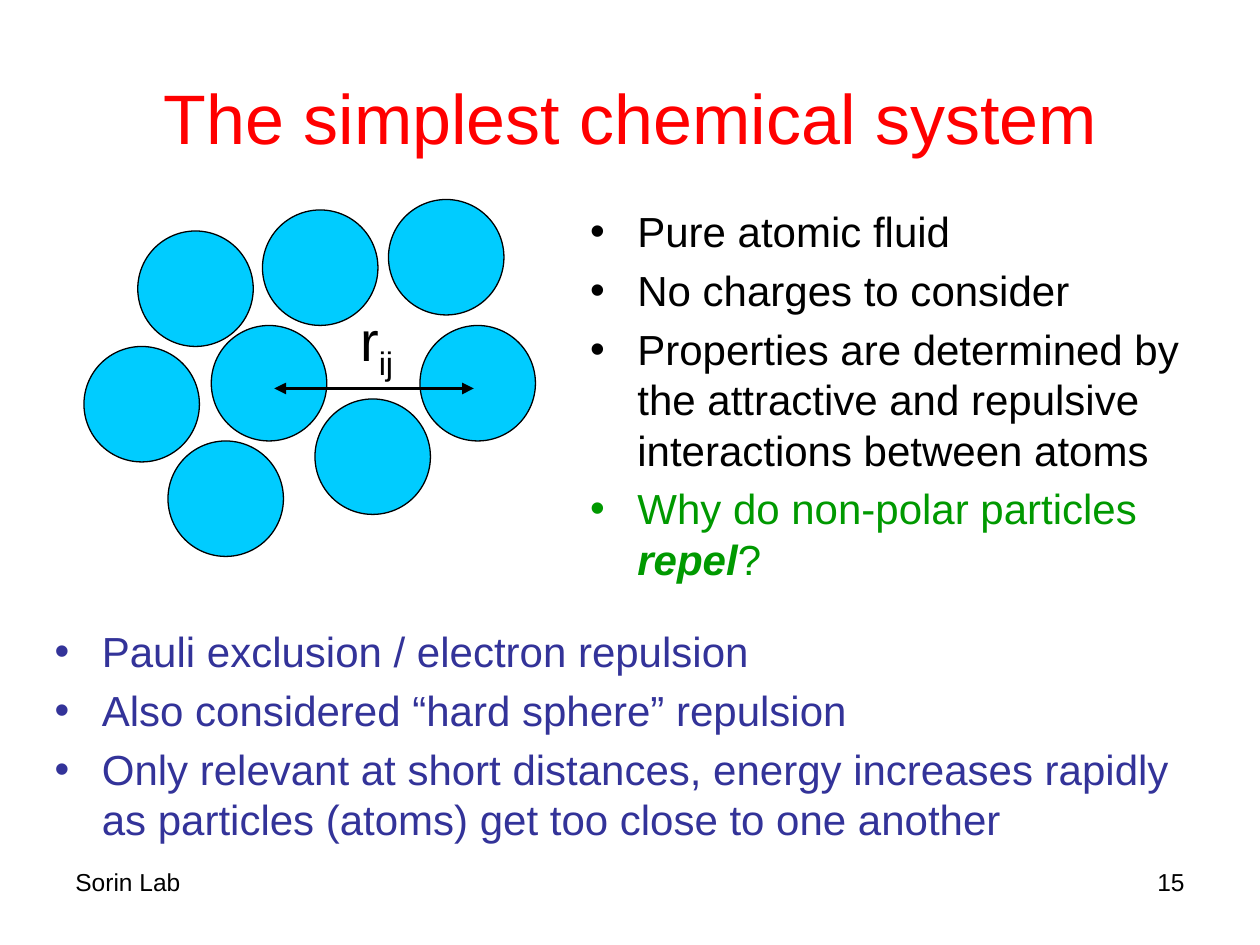
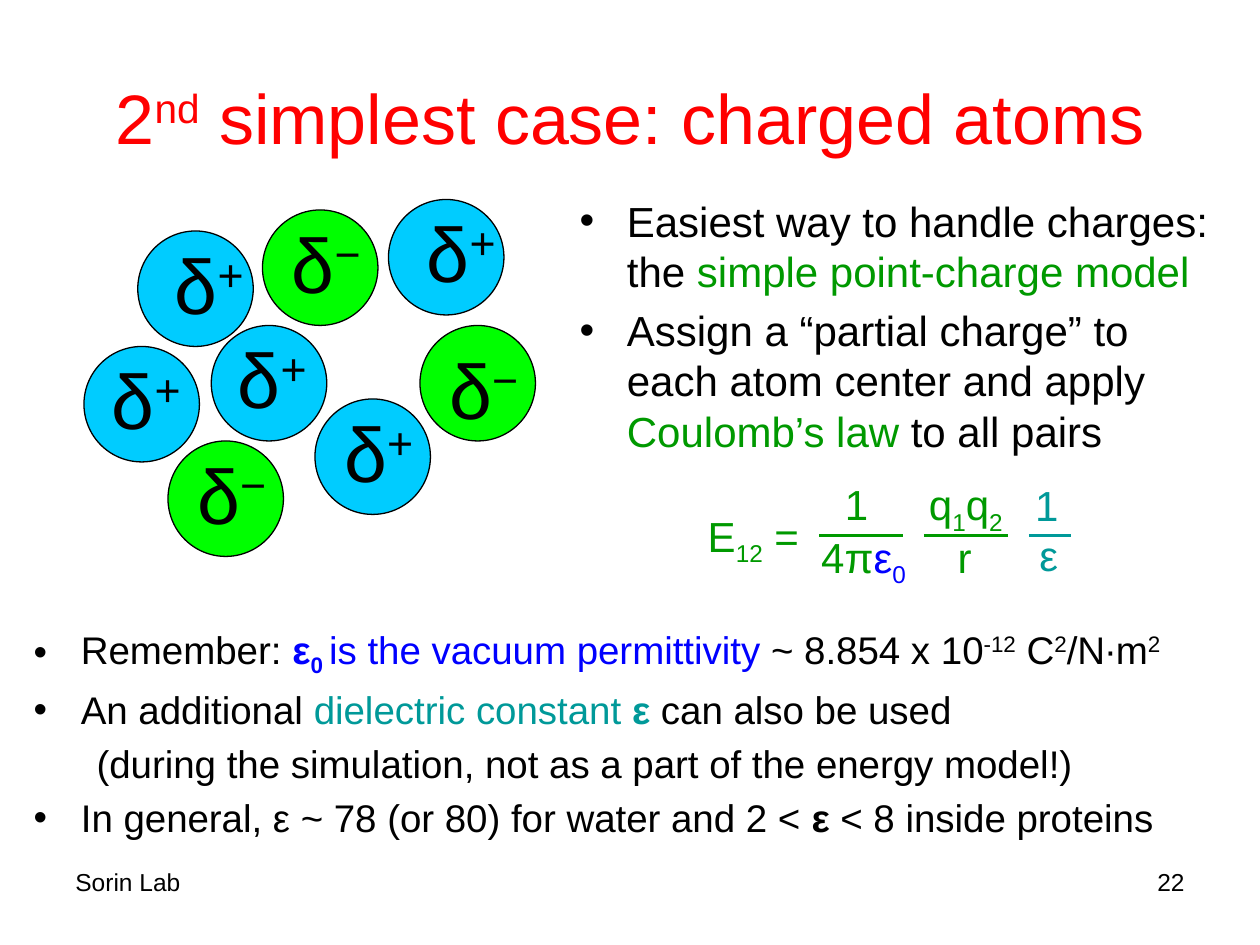
from dataclasses import dataclass

from lxml import etree
from pptx import Presentation
from pptx import util as u
from pptx.dml.color import RGBColor
from pptx.enum import shapes, text
from pptx.oxml import ns

PX = 9525
FONT = "Arial"

BLACK = RGBColor(0x00, 0x00, 0x00)
RED = RGBColor(0xFF, 0x00, 0x00)
GREEN = RGBColor(0x00, 0x99, 0x00)
BLUE = RGBColor(0x00, 0x00, 0xFF)
TEAL = RGBColor(0x00, 0x99, 0x99)
INDIGO = RGBColor(0x33, 0x33, 0x99)
POSITIVE = RGBColor(0x00, 0xCC, 0xFF)
NEGATIVE = RGBColor(0x00, 0xFF, 0x00)

SUB, SUPER = -25, 30
LEFT, CENTER, RIGHT = text.PP_ALIGN.LEFT, text.PP_ALIGN.CENTER, text.PP_ALIGN.RIGHT

ATOM_SIZE = 88
ATOM_BOX = (64, 152)
ATOMS = [
    (97, 96, "+", 7, 0),
    (256, 96, "−", 9, 8),
    (41, 24, "+", 15, 0),
    (0, 112, "+", 8, 0),
    (176, 152, "+", 9, 0),
    (136, 8, "−", 9, 0),
    (64, 184, "−", 9, 0),
    (232, 0, "+", 16, 0),
]


@dataclass
class Span:
    words: str
    color: RGBColor = BLACK
    base: int = 0
    bold: bool = False
    italic: bool = False


def emu(*lengths):
    return [u.Emu(length * PX) for length in lengths]


def write(para, spans, size, align=LEFT):
    para.alignment = align
    for part in spans:
        span = para.add_run()
        span.text = part.words
        span.font.name = FONT
        span.font.size = u.Pt(size)
        span.font.color.rgb = part.color
        span.font.bold = part.bold
        span.font.italic = part.italic
        if part.base:
            span.font._element.set("baseline", str(part.base * 1000))


def add_label(page, box, spans, size, align=CENTER, wrap=False):
    label = page.shapes.add_textbox(*emu(*box))
    frame = label.text_frame
    frame.word_wrap = wrap
    frame.auto_size = text.MSO_AUTO_SIZE.NONE if wrap else text.MSO_AUTO_SIZE.SHAPE_TO_FIT_TEXT
    write(frame.paragraphs[0], spans, size, align)


def add_line(page, left, right, y, color, width, arrows=False):
    line = page.shapes.add_connector(shapes.MSO_CONNECTOR.STRAIGHT, *emu(left, y, right, y))
    line.line.color.rgb = color
    line.line.width = u.Pt(width)
    if arrows:
        outline = line.line._get_or_add_ln()
        for end in ("a:headEnd", "a:tailEnd"):
            etree.SubElement(outline, ns.qn(end), type="triangle")
    etree.SubElement(line._element.spPr, ns.qn("a:effectLst"))


def place(holder, box):
    holder.left, holder.top, holder.width, holder.height = emu(*box)
    holder.text_frame.word_wrap = True
    holder.text_frame.auto_size = text.MSO_AUTO_SIZE.NONE


def add_page(deck, title, number):
    page = deck.slides.add_slide(deck.slide_layouts.get_by_name("Two Content"))
    heading = page.shapes.title
    place(heading, (48, 29, 864, 120))
    heading.text_frame.vertical_anchor = text.MSO_ANCHOR.MIDDLE
    write(heading.text_frame.paragraphs[0], title, 40, CENTER)
    for left, words, align in ((48, "Sorin Lab", LEFT), (688, number, RIGHT)):
        add_label(page, (left, 656, 224, 50), [Span(words)], 14, align, wrap=True)
    return page


def fill_list(holder, box, items, size, unmarked=()):
    place(holder, box)
    frame = holder.text_frame
    frame.vertical_anchor = text.MSO_ANCHOR.TOP
    for index, spans in enumerate(items):
        para = frame.add_paragraph() if index else frame.paragraphs[0]
        if index in unmarked:
            para.level = 1
            props = para._p.get_or_add_pPr()
            props.set("marL", str(48 * PX))
            props.set("indent", "0")
            etree.SubElement(props, ns.qn("a:buNone"))
        if index:
            para.space_before = u.Pt(size / 5)
        else:
            para.space_before = u.Pt(0)
        write(para, spans, size)


def draw_atoms(page, box, charged):
    left, top = box
    for x, y, sign, _, _ in ATOMS:
        atom = page.shapes.add_shape(
            shapes.MSO_SHAPE.OVAL, *emu(left + x, top + y, ATOM_SIZE, ATOM_SIZE))
        atom.shadow.inherit = False
        atom.fill.solid()
        atom.fill.fore_color.rgb = NEGATIVE if charged and sign == "−" else POSITIVE
        atom.line.color.rgb = BLACK
        atom.line.width = u.Pt(0.75)
    if charged:
        for x, y, sign, dx, dy in ATOMS:
            add_label(page, (left + x + dx, top + y + dy, 79, 80),
                      [Span("δ"), Span(sign + " ", base=SUPER)], 44)


def draw_distance(page, box):
    left, top = box
    add_line(page, left + 145, left + 297, top + 144, BLACK, 2.25, arrows=True)
    add_label(page, (left + 198, top + 76, 50, 60),
              [Span("r"), Span("ij", base=SUB)], 32, wrap=True)


def draw_coulomb_law(page, box):
    left, top = box
    for start, end, color in ((96, 160, GREEN), (176, 240, GREEN), (256, 288, TEAL)):
        add_line(page, left + start, left + end, top + 48, color, 2)
    terms = [
        (0, 24, 101, [Span("E", GREEN), Span("12", GREEN, SUB), Span(" = ", GREEN)]),
        (106, 0, 46, [Span("1 ", GREEN)]),
        (88, 40, 89, [Span("4π", GREEN), Span("ε", BLUE), Span("0 ", BLUE, SUB)]),
        (167, 0, 87, [Span("q", GREEN), Span("1", GREEN, SUB),
                      Span("q", GREEN), Span("2 ", GREEN, SUB)]),
        (192, 40, 30, [Span("r", GREEN)]),
        (251, 1, 37, [Span("1", TEAL)]),
        (254, 39, 34, [Span("ε", TEAL)]),
    ]
    for x, y, width, spans in terms:
        add_label(page, (left + x, top + y, width, 48), spans, 24)


def build_atomic_fluid(deck):
    page = add_page(deck, [Span("The simplest chemical system", RED)], "15")
    draw_atoms(page, ATOM_BOX, charged=False)
    draw_distance(page, ATOM_BOX)
    fill_list(page.placeholders[1], (440, 152, 488, 296), [
        [Span("Pure atomic fluid")],
        [Span("No charges to consider")],
        [Span("Properties are determined by the attractive and repulsive "
              "interactions between atoms")],
        [Span("Why do non-polar particles ", GREEN),
         Span("repel", GREEN, bold=True, italic=True), Span("?", GREEN)],
    ], 24)
    fill_list(page.placeholders[2], (32, 472, 896, 176), [
        [Span("Pauli exclusion / electron repulsion", INDIGO)],
        [Span("Also considered “hard sphere” repulsion", INDIGO)],
        [Span("Only relevant at short distances, energy increases rapidly "
              "as particles (atoms) get too close to one another", INDIGO)],
    ], 24)


def build_charged_atoms(deck):
    title = [Span("2", RED), Span("nd", RED, SUPER), Span(" simplest case: charged atoms", RED)]
    page = add_page(deck, title, "22")
    draw_atoms(page, ATOM_BOX, charged=True)
    fill_list(page.placeholders[1], (432, 144, 512, 280), [
        [Span("Easiest way to handle charges: the "), Span("simple point-charge model", GREEN)],
        [Span("Assign a “partial charge” to each atom center and apply "),
         Span("Coulomb’s law", GREEN), Span(" to all pairs")],
    ], 24)
    draw_coulomb_law(page, (528, 360))
    fill_list(page.placeholders[2], (16, 472, 920, 216), [
        [Span("Remember: "), Span("ε", BLUE, bold=True), Span("0 ", BLUE, SUB, bold=True),
         Span("is the vacuum permittivity", BLUE), Span(" ~ 8.854 x 10"),
         Span("-12", base=SUPER), Span(" C"), Span("2", base=SUPER),
         Span("/N∙m"), Span("2", base=SUPER)],
        [Span("An additional "), Span("dielectric constant ", TEAL),
         Span("ε", TEAL, bold=True), Span(" can also be used")],
        [Span("(during the simulation, not as a part of the energy model!)")],
        [Span("In general, ε ~ 78 (or 80) for water and 2 < "),
         Span("ε", bold=True), Span(" < 8 inside proteins")],
    ], 22, unmarked=(2,))


def main():
    deck = Presentation()
    deck.slide_width, deck.slide_height = emu(960, 720)
    build_atomic_fluid(deck)
    build_charged_atoms(deck)
    deck.save("out.pptx")


if __name__ == "__main__":
    main()
